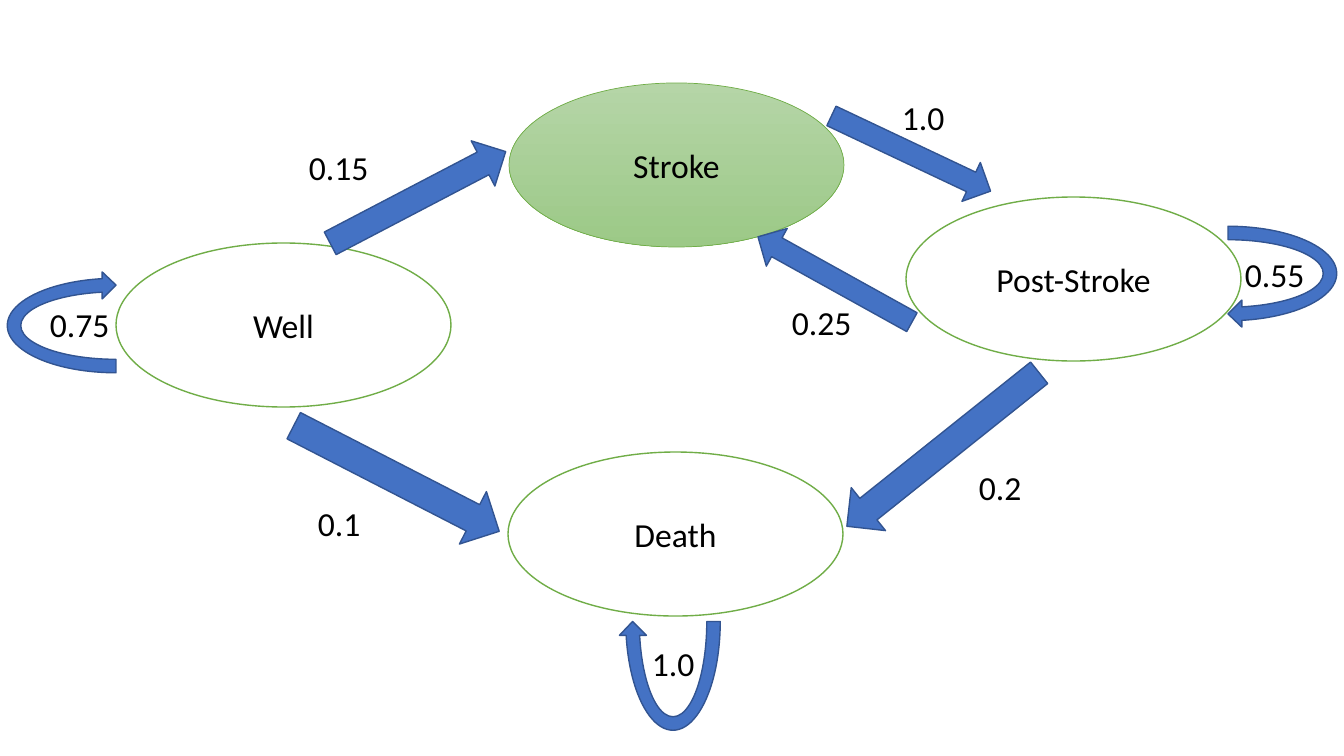
"""Build a slide with a four-state stroke transition diagram."""
import pptx
import pptx.util
import pptx.dml.color
import pptx.enum.shapes
import pptx.enum.text

KIND = pptx.enum.shapes.MSO_SHAPE
ALIGN = pptx.enum.text.PP_ALIGN
ANCHOR = pptx.enum.text.MSO_ANCHOR
AUTO = pptx.enum.text.MSO_AUTO_SIZE

COLORS = {"text": "000000", "white": "FFFFFF", "green": "70AD47",
          "pale": "B5D5A7", "leaf": "9CC987", "blue": "4472C4", "navy": "325491"}
SIZE = (1344, 756)
OVAL = (335, 164)
LOOP = (108, 231)

# name, left, top, shaded
STATES = [
    ("Stroke", 509, 83, True),
    ("Well", 116, 243, False),
    ("Post-Stroke", 906, 197, False),
    ("Death", 508, 452, False),
]
# left, top, width, height, turn
ARROWS = [
    (319, 172, 198, 51, 332.4),
    (820, 422, 246, 55, 141.4),
    (281, 449, 231, 59, 27.2),
    (747, 258, 176, 43, 209),
    (823, 132, 176, 43, 25.3),
]
# left, top, turn
LOOPS = [(62, 210, 270), (1174, 158, 90), (619, 506, 180)]
# text, left, top, width, wrap
LABELS = [
    ("0.75", 40, 299, 96, True),
    ("0.55", 1235, 249, 81, False),
    ("1.0", 642, 638, 64, False),
    ("0.15", 299, 142, 81, False),
    ("0.1", 308, 498, 98, True),
    ("0.2", 969, 462, 64, False),
    ("1.0", 892, 92, 64, False),
    ("0.25", 782, 297, 81, False),
]


def px(*nums):
    return [pptx.util.Emu(round(n * 914400 / 100.8)) for n in nums]


def rgb(name):
    return pptx.dml.color.RGBColor.from_string(COLORS[name])


def write(frame, text, align=ALIGN.LEFT, anchor=ANCHOR.TOP, wrap=True, size=24):
    frame.word_wrap = wrap
    frame.vertical_anchor = anchor
    para = frame.paragraphs[0]
    para.alignment = align
    run = para.add_run()
    run.text = text
    run.font.size = pptx.util.Pt(size)
    run.font.name = "Calibri"
    run.font.color.rgb = rgb("text")


def draw(slide, kind, box, fill, line, turn=0, width=1):
    shape = slide.shapes.add_shape(kind, *px(*box))
    shape.shadow.inherit = False
    shape.rotation = turn
    shape.fill.solid()
    shape.fill.fore_color.rgb = rgb(fill)
    shape.line.color.rgb = rgb(line)
    shape.line.width = pptx.util.Pt(width)
    return shape


def shade(shape, first, last):
    shape.fill.gradient()
    shape.fill.gradient_angle = 270
    for stop, name in zip(shape.fill.gradient_stops, (first, last)):
        stop.color.rgb = rgb(name)


def main():
    deck = pptx.Presentation()
    deck.slide_width, deck.slide_height = px(*SIZE)
    slide = deck.slides.add_slide(deck.slide_layouts[6])

    for name, left, top, shaded in STATES:
        oval = draw(slide, KIND.OVAL, (left, top, *OVAL), "white", "green",
                    width=0.5 if shaded else 1)
        if shaded:
            shade(oval, "pale", "leaf")
        write(oval.text_frame, name, align=ALIGN.CENTER, anchor=ANCHOR.MIDDLE)

    for *box, turn in ARROWS:
        draw(slide, KIND.RIGHT_ARROW, box, "blue", "navy", turn)

    for left, top, turn in LOOPS:
        draw(slide, KIND.CIRCULAR_ARROW, (left, top, *LOOP), "blue", "navy", turn)

    for text, left, top, width, wrap in LABELS:
        label = slide.shapes.add_textbox(*px(left, top, width, 50))
        label.text_frame.auto_size = AUTO.SHAPE_TO_FIT_TEXT
        write(label.text_frame, text, wrap=wrap)

    deck.save("out.pptx")


if __name__ == "__main__":
    main()
